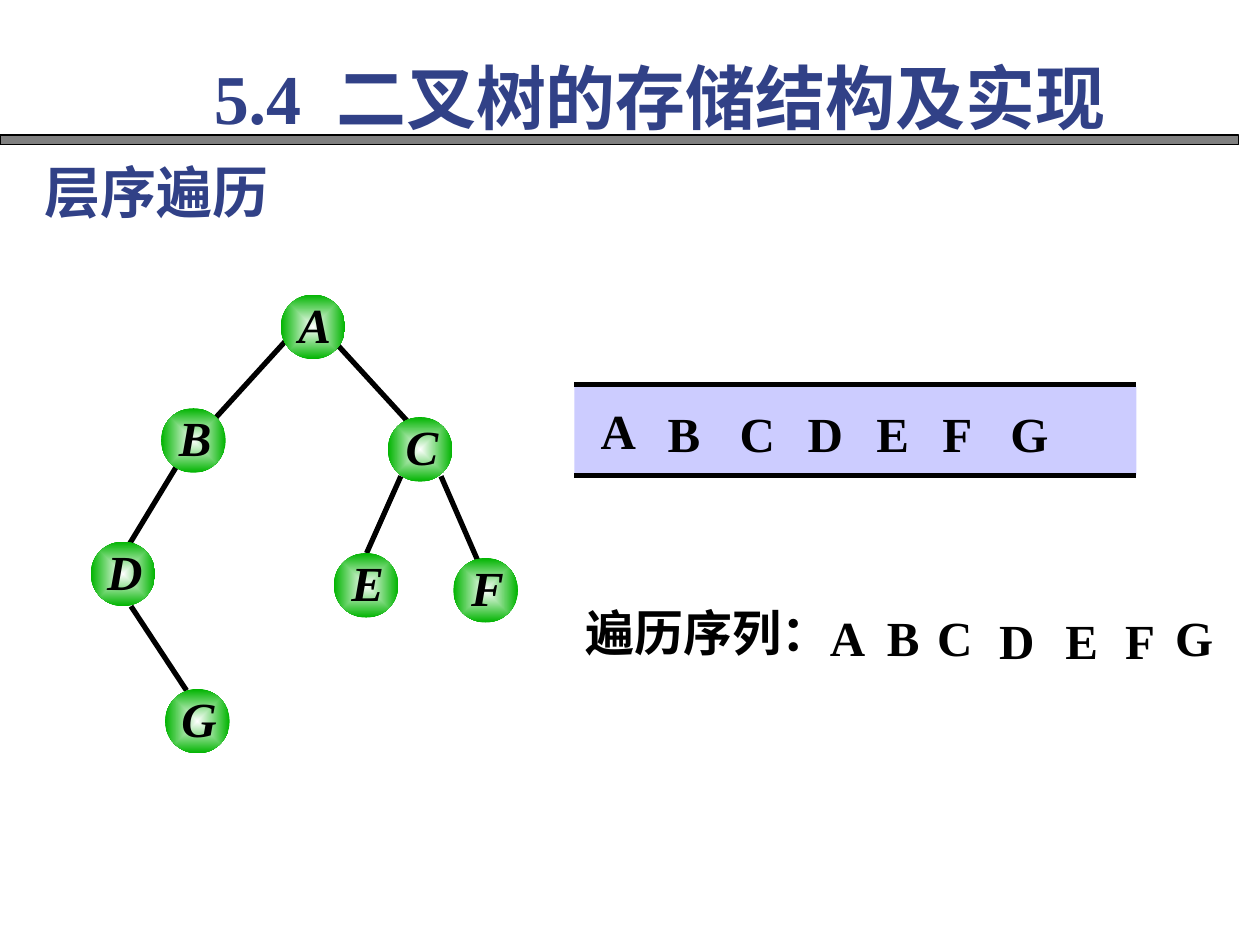
"""Build the slide on level-order traversal of a binary tree."""
from typing import Any, NamedTuple

from lxml.etree import SubElement
from pptx import Presentation
from pptx.dml.color import RGBColor
from pptx.enum.shapes import MSO_CONNECTOR as Link, MSO_SHAPE as Preset
from pptx.enum.text import MSO_ANCHOR as Anchor, MSO_AUTO_SIZE as Fit, PP_ALIGN as Align
from pptx.oxml import parse_xml
from pptx.oxml.ns import nsdecls, qn
from pptx.util import Cm, Pt

LATIN = "Times New Roman"
HAN = "Noto Sans CJK SC"
BLACK, NAVY, GREEN, WHITE = "000000", "314187", "00B400", "FFFFFF"
GREY, LILAC = "808080", "CCCCFF"
DIAMETER = 1.3


class Node(NamedTuple):
    letter: str
    left: float
    top: float


class Edge(NamedTuple):
    x1: float
    y1: float
    x2: float
    y2: float


class Letter(NamedTuple):
    text: str
    left: float
    top: float


NODES = [
    Node("A", 5.66, 5.94), Node("B", 3.25, 8.23), Node("C", 7.82, 8.41),
    Node("D", 1.83, 10.92), Node("E", 6.73, 11.15), Node("F", 9.14, 11.25),
    Node("G", 3.33, 13.89),
]
BRANCHES = [
    Edge(5.77, 6.86, 4.34, 8.43), Edge(6.81, 6.96, 8.23, 8.51),
    Edge(3.56, 9.4, 2.62, 10.95), Edge(2.64, 12.22, 3.76, 13.92),
    Edge(8.08, 9.6, 7.39, 11.15), Edge(8.89, 9.6, 9.63, 11.3),
]
QUEUE = [
    Letter("A", 11.86, 7.95), Letter("B", 13.21, 8), Letter("C", 14.66, 8),
    Letter("D", 16.03, 8), Letter("E", 17.42, 8), Letter("F", 18.75, 8),
    Letter("G", 20.12, 8),
]
SEQUENCE = [
    Letter("A", 16.48, 12.12), Letter("B", 17.63, 12.12), Letter("C", 18.64, 12.12),
    Letter("D", 19.89, 12.17), Letter("E", 21.23, 12.17), Letter("F", 22.43, 12.17),
    Letter("G", 23.44, 12.12),
]


def color(code: str) -> RGBColor:
    """Turn a hex string into a colour."""
    return RGBColor.from_string(code)


def place(shape: Any, left: float, top: float, width: float, height: float) -> None:
    """Set the position and size of a shape in centimetres."""
    shape.left, shape.top = Cm(left), Cm(top)
    shape.width, shape.height = Cm(width), Cm(height)


def write(box: Any, *parts: str, size: float = 28, ink: str = BLACK, latin: str = LATIN,
          italic: bool = False, align: Any = Align.LEFT, gap: float = 0,
          insets: tuple = (0.25, 0.13, 0.25, 0.13)) -> None:
    """Fill a box with one bold paragraph, widening any blank part by the gap in points."""
    frame = box.text_frame
    frame.word_wrap = True
    frame.auto_size = Fit.NONE
    frame.vertical_anchor = Anchor.TOP
    frame.margin_left, frame.margin_top, frame.margin_right, frame.margin_bottom = map(Cm, insets)
    para = frame.paragraphs[0]
    para.alignment = align
    para.space_before = Pt(0)
    for part in parts:
        span = para.add_run()
        span.text = part
        span.font.size = Pt(size)
        span.font.bold = True
        span.font.italic = italic
        span.font.name = latin
        span.font.color.rgb = color(ink)
        props = span.font._element
        SubElement(props, qn("a:ea")).set("typeface", HAN)
        if part.isspace():
            props.set("spc", str(int(gap * 100)))


def add_text(shapes: Any, left: float, top: float, width: float, height: float,
             text: str, **style: Any) -> None:
    """Add a text box with one formatted paragraph."""
    box = shapes.add_textbox(Cm(left), Cm(top), Cm(width), Cm(height))
    write(box, text, **style)


def add_block(shapes: Any, preset: Any, left: float, top: float, width: float,
              height: float, fill: str, line: str | None = None) -> Any:
    """Add a flat filled shape with an optional thin outline."""
    block = shapes.add_shape(preset, Cm(left), Cm(top), Cm(width), Cm(height))
    block.shadow.inherit = False
    block.fill.solid()
    block.fill.fore_color.rgb = color(fill)
    if line:
        block.line.color.rgb = color(line)
        block.line.width = Pt(0.75)
    else:
        block.line.fill.background()
    return block


def add_line(shapes: Any, edge: Edge) -> None:
    """Add a thick black straight line."""
    line = shapes.add_connector(Link.STRAIGHT, *map(Cm, edge))
    line.line.color.rgb = color(BLACK)
    line.line.width = Pt(3)
    SubElement(line._element.spPr, qn("a:effectLst"))


def add_node(shapes: Any, node: Node) -> None:
    """Add a glowing green tree node with its letter."""
    disc = add_block(shapes, Preset.OVAL, node.left, node.top, DIAMETER, DIAMETER, GREEN)
    props = disc._element.spPr
    props.replace(props.find(qn("a:solidFill")), parse_xml(
        f'<a:gradFill {nsdecls("a")}><a:gsLst>'
        f'<a:gs pos="0"><a:srgbClr val="{WHITE}"/></a:gs>'
        f'<a:gs pos="100000"><a:srgbClr val="{GREEN}"/></a:gs></a:gsLst>'
        '<a:path path="rect"><a:fillToRect l="50000" t="50000" r="50000" b="50000"/>'
        '</a:path></a:gradFill>'))
    add_text(shapes, node.left + 0.14, node.top - 0.11, 1.09, 1.7, node.letter,
             italic=True, align=Align.CENTER, insets=(0, 0.1, 0, 0))


def add_tree(shapes: Any) -> None:
    """Add the binary tree as one group."""
    tree = shapes.add_group_shape().shapes
    for branch in BRANCHES:
        add_line(tree, branch)
    for node in NODES:
        add_node(tree, node)


def add_queue(shapes: Any) -> None:
    """Add the queue band with its two rails."""
    left, width = 11.58, 11.33
    add_block(shapes, Preset.RECTANGLE, left, 7.8, width, 1.78, LILAC)
    for y in (7.75, 9.58):
        add_line(shapes, Edge(left, y, left + width, y))


def main() -> None:
    """Build and save the deck."""
    deck = Presentation()
    deck.slide_width, deck.slide_height = Cm(25.4), Cm(19.05)
    page = deck.slides.add_slide(deck.slide_layouts[5])
    shapes = page.shapes
    place(shapes.title, 4.06, 0.97, 19.58, 1.96)
    write(shapes.title, "5.4", " ", "二叉树的存储结构及实现", size=40, ink=NAVY,
          align=Align.JUSTIFY, gap=10)
    add_block(shapes, Preset.RECTANGLE, 0, 2.72, 24.97, 0.2, GREY, BLACK)
    add_text(shapes, 0.64, 3.05, 14.81, 1.63, "层序遍历", size=32, ink=NAVY, latin=HAN)
    add_tree(shapes)
    add_queue(shapes)
    add_text(shapes, 11.56, 12.01, 12.55, 1.45, "遍历序列：")
    for letter in QUEUE + SEQUENCE:
        add_text(shapes, letter.left, letter.top, 1.32, 1.45, letter.text)
    deck.save("out.pptx")


if __name__ == "__main__":
    main()
